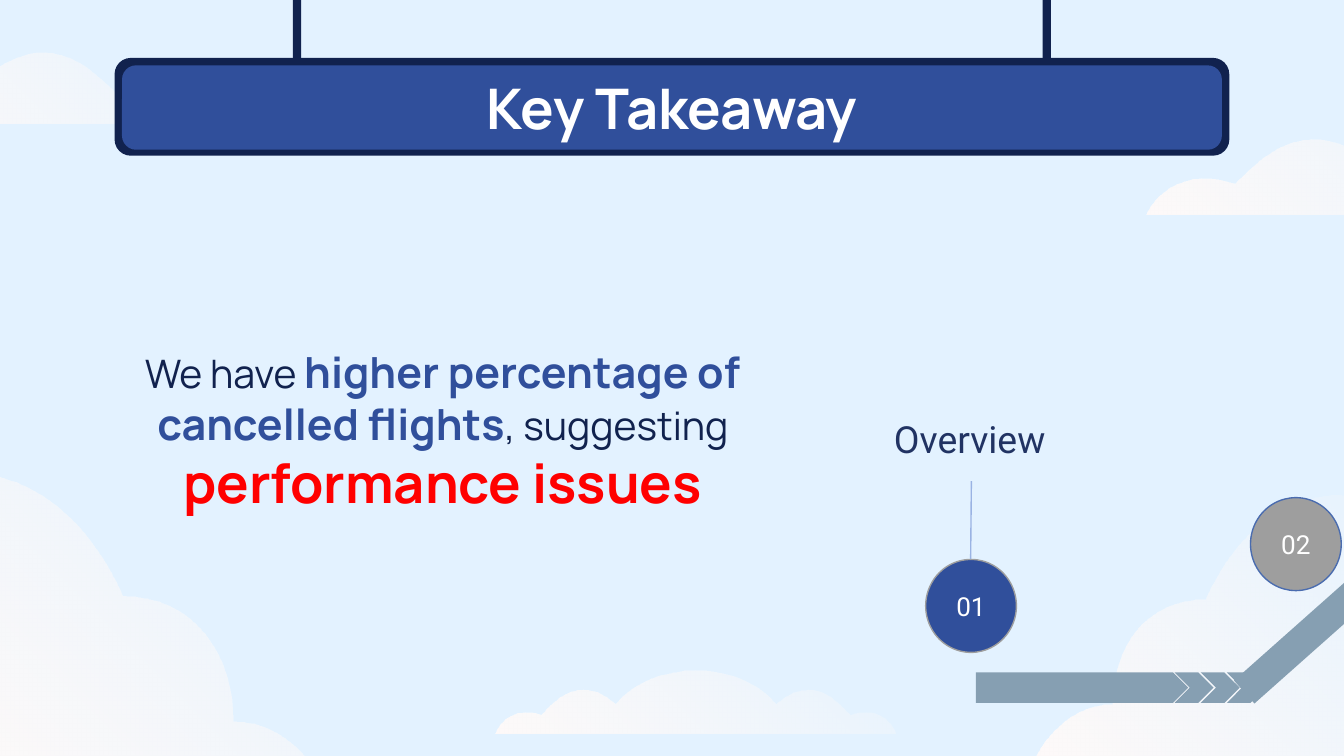
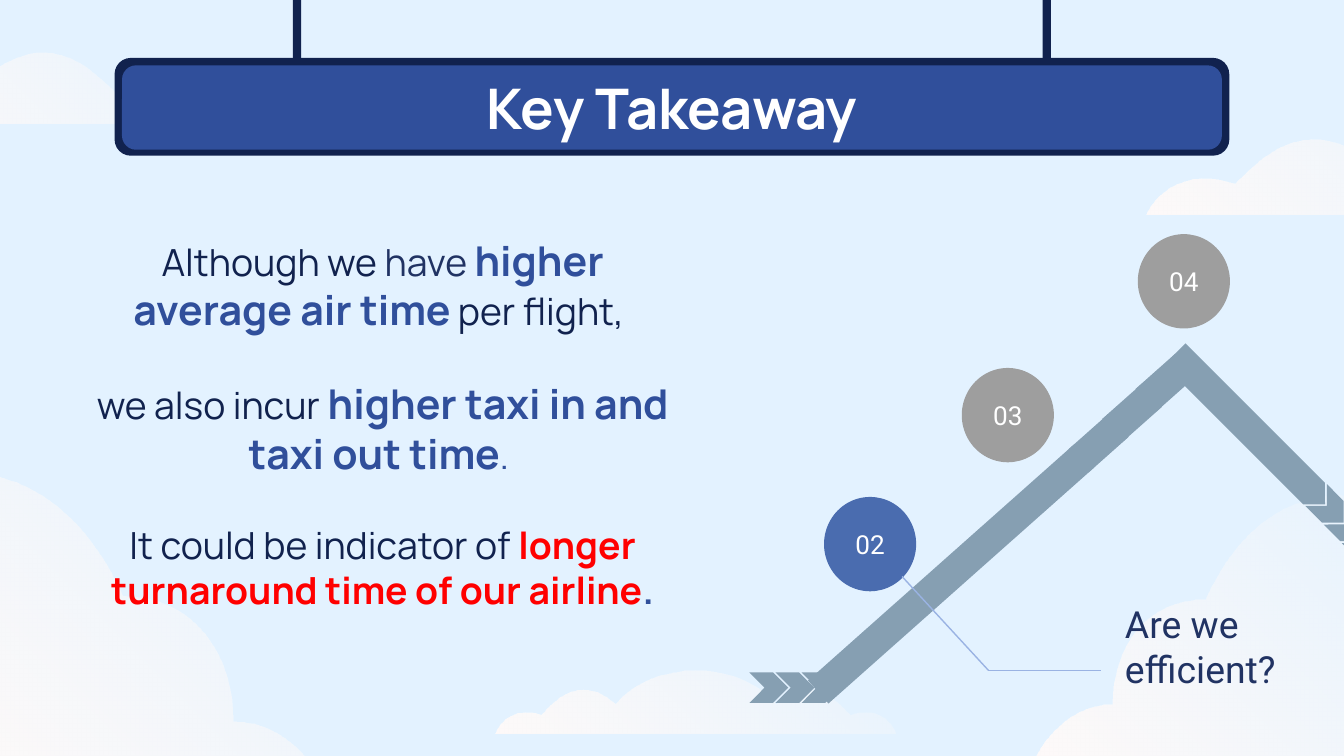
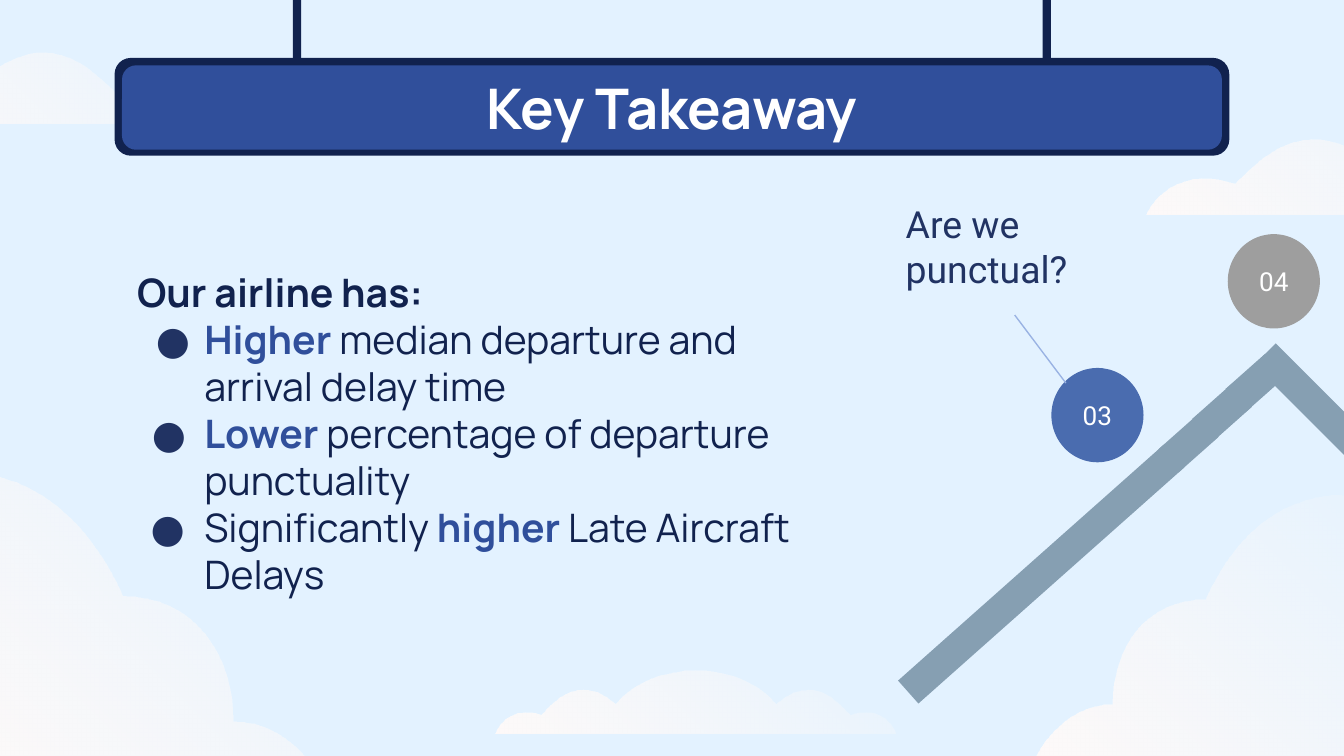
from dataclasses import dataclass

import lxml.etree
import pptx
import pptx.dml.color
import pptx.enum.shapes
import pptx.enum.text
import pptx.oxml.ns
import pptx.util

Pt = pptx.util.Pt
qn = pptx.oxml.ns.qn
SHAPES = pptx.enum.shapes.MSO_SHAPE
ALIGN = pptx.enum.text.PP_ALIGN
ANCHOR = pptx.enum.text.MSO_ANCHOR


@dataclass(frozen=True)
class Theme:
    sky: str = "E3F2FF"
    cloud: str = "FEFAF9"
    navy: str = "11224E"
    indigo: str = "213363"
    blue: str = "304F9B"
    active: str = "4A6CAF"
    pending: str = "9E9E9E"
    road: str = "869FB2"
    leader: str = "9AB3E3"
    alert: str = "FF0000"
    white: str = "FFFFFF"
    heading_font: str = "Manrope"
    label_font: str = "Roboto"
    title_size: float = 30
    label_size: float = 20
    number_size: float = 14
    inset: float = 7.2
    hairline: float = 0.75
    road_width: float = 16.4


THEME = Theme()

CLOUDS = [
    [(372.5, 359.3),
     (356.4, 359.3, 339.8, 365, 329.8, 377.3),
     (323.3, 371.5, 317.5, 369.4, 312.5, 369.4),
     (303.1, 369.4, 296.6, 375.8, 290.2, 383),
     (287.3, 381.6, 284.4, 381.6, 281.5, 381.6),
     (269.3, 381.6, 265.7, 393.1, 265.7, 393.1),
     (479.5, 393.1),
     (479.5, 393.1, 475.9, 381.6, 463.7, 381.6),
     (460.8, 381.6, 457.9, 381.6, 455, 383),
     (448.6, 375.8, 441.4, 369.4, 432.7, 369.4),
     (427.7, 369.4, 421.9, 371.5, 415.4, 377.3),
     (405.4, 365, 388.8, 359.3, 372.5, 359.3)],
    [(-23, 253.4),
     (-23, 253.4, 31.7, 244.8, 65.5, 319),
     (103.7, 319, 124.6, 350.6, 124.6, 385.9),
     (157.7, 385.9, 172.1, 419, 172.1, 419),
     (-23, 419)],
    [(720, 265.7),
     (720, 265.7, 673.9, 258.5, 645.6, 320.9),
     (613.4, 320.9, 596, 347, 596, 377.3),
     (568.1, 377.3, 555.1, 405, 555.1, 405),
     (720, 405),
     (720, 265.7)],
    [(820.1, 53.3),
     (820.1, 53.3, 781.9, 42.5, 736.6, 87.8),
     (702, 61.2, 680.4, 79.2, 661.7, 98),
     (625, 86.4, 614.2, 114.8, 614.2, 114.8),
     (820.1, 114.8)],
    [(-87.8, 7.9),
     (-87.8, 7.9, -51.1, -2.2, -7.9, 41),
     (24.5, 15.8, 44.6, 32.4, 62.6, 50.4),
     (97.2, 39.6, 108, 66.2, 108, 66.2),
     (-87.8, 66.2)],
]


def rgb(code):
    return pptx.dml.color.RGBColor.from_string(code)


def write(frame, lines, *, size, color, font, bold=False, align=ALIGN.LEFT,
          anchor=ANCHOR.TOP, gap=0):
    frame.word_wrap = True
    frame.vertical_anchor = anchor
    frame.margin_left = frame.margin_right = Pt(THEME.inset)
    frame.margin_top = frame.margin_bottom = Pt(THEME.inset)
    for index, line in enumerate(lines):
        paragraph = frame.paragraphs[0] if index == 0 else frame.add_paragraph()
        paragraph.alignment = align
        if index and gap:
            paragraph.space_before = Pt(gap)
        for part in [line] if isinstance(line, str) else line:
            text, changes = (part, {}) if isinstance(part, str) else part
            run = paragraph.add_run()
            run.text = text
            run.font.name = font
            run.font.size = Pt(changes.get("size", size))
            run.font.bold = changes.get("bold", bold)
            run.font.color.rgb = rgb(changes.get("color", color))


def add_text(slide, left, top, width, height, lines, **text_format):
    box = slide.shapes.add_textbox(Pt(left), Pt(top), Pt(width), Pt(height))
    write(box.text_frame, lines, **text_format)
    return box.text_frame


def add_bullet(paragraph, hang):
    properties = paragraph._p.get_or_add_pPr()
    properties.set("marL", str(Pt(36)))
    properties.set("indent", str(-Pt(hang)))
    tint = lxml.etree.SubElement(properties, qn("a:buClr"))
    lxml.etree.SubElement(tint, qn("a:srgbClr")).set("val", THEME.indigo)
    face = lxml.etree.SubElement(properties, qn("a:buFont"))
    face.set("typeface", THEME.heading_font)
    lxml.etree.SubElement(properties, qn("a:buChar")).set("char", "●")


def add_block(slide, kind, left, top, width, height, color, outline=None, rotation=0):
    block = slide.shapes.add_shape(kind, Pt(left), Pt(top), Pt(width), Pt(height))
    block.shadow.inherit = False
    block.rotation = rotation
    block.fill.solid()
    block.fill.fore_color.rgb = rgb(color)
    if outline:
        block.line.color.rgb = rgb(outline)
        block.line.width = Pt(THEME.hairline)
    else:
        block.line.fill.background()
    return block


def curve_segments(cloud, segments):
    corners = iter(cloud._element.spPr.findall(".//" + qn("a:lnTo")))
    for segment in segments:
        first, *others = [next(corners) for _ in range(len(segment) // 2)]
        if others:
            first.tag = qn("a:cubicBezTo")
            for corner in others:
                first.append(corner[0])
                corner.getparent().remove(corner)


def add_cloud(slide, outline):
    start, *segments = outline
    points = [(Pt(x), Pt(y)) for segment in segments
              for x, y in zip(segment[::2], segment[1::2])]
    builder = slide.shapes.build_freeform(Pt(start[0]), Pt(start[1]))
    builder.add_line_segments(points, close=True)
    cloud = builder.convert_to_shape()
    curve_segments(cloud, segments)
    cloud.shadow.inherit = False
    cloud.line.fill.background()
    cloud.fill.gradient()
    cloud.fill.gradient_angle = 225
    for stop in cloud.fill.gradient_stops:
        stop.color.rgb = rgb(THEME.cloud)
    faint_end = cloud._element.spPr.find(".//" + qn("a:srgbClr"))
    lxml.etree.SubElement(faint_end, qn("a:alpha")).set("val", "19000")


def add_sign(slide, title):
    rounded = SHAPES.ROUNDED_RECTANGLE
    add_block(slide, rounded, 61.4, 31, 597.2, 52.4, THEME.navy)
    add_block(slide, rounded, 65.4, 35, 589.2, 45.2, THEME.blue)
    for hanger_left in (558.6, 156.9):
        add_block(slide, rounded, hanger_left, -19.4, 4.4, 52.4, THEME.navy)
    add_text(slide, 42.5, 34.9, 635, 45.4, [title], size=THEME.title_size,
             color=THEME.white, font=THEME.heading_font, bold=True,
             align=ALIGN.CENTER, anchor=ANCHOR.MIDDLE)


def add_takeaway_slide(deck):
    slide = deck.slides.add_slide(deck.slide_layouts[6])
    slide.background.fill.solid()
    slide.background.fill.fore_color.rgb = rgb(THEME.sky)
    for outline in CLOUDS:
        add_cloud(slide, outline)
    add_sign(slide, "Key Takeaway")
    return slide


def add_plate(slide, left, top, width, rotation=0):
    add_block(slide, SHAPES.PENTAGON, left, top, width, THEME.road_width, THEME.road,
              rotation=rotation)


def add_chevrons(slide, left, top, step_x, step_y=0, width=20.9, rotation=0):
    for index in range(3):
        add_block(slide, SHAPES.CHEVRON, left + index * step_x, top + index * step_y,
                  width, THEME.road_width, THEME.road, rotation=rotation)


def add_climb(slide, left, reaches_peak=True):
    add_plate(slide, left, 296.6, 198.7, 318.4)
    if reaches_peak:
        add_chevrons(slide, left + 159.8, 226.6, 18, -16.2, 36.7, 318.4)


def add_descent(slide, left):
    add_plate(slide, left, 221.8, 113.8, 45)


def add_stop(slide, number, left, top, color, outline=None):
    stop = add_block(slide, SHAPES.OVAL, left, top, 48.6, 49.8, color, outline or color)
    write(stop.text_frame, [number], size=THEME.number_size, color=THEME.white,
          font=THEME.label_font, align=ALIGN.CENTER, anchor=ANCHOR.MIDDLE)


def add_leader(slide, *points):
    for (x1, y1), (x2, y2) in zip(points, points[1:]):
        leader = slide.shapes.add_connector(
            pptx.enum.shapes.MSO_CONNECTOR.STRAIGHT, Pt(x1), Pt(y1), Pt(x2), Pt(y2))
        leader.line.color.rgb = rgb(THEME.leader)
        leader.line.width = Pt(THEME.hairline)
        lxml.etree.SubElement(leader._element.spPr, qn("a:effectLst"))


def add_label(slide, left, top, width, height, *lines):
    frame = add_text(slide, left, top, width, height, lines, size=THEME.label_size,
                     color=THEME.indigo, font=THEME.label_font)
    frame.auto_size = pptx.enum.text.MSO_AUTO_SIZE.SHAPE_TO_FIT_TEXT


def add_body(slide, left, top, width, height, lines, size, **text_format):
    return add_text(slide, left, top, width, height, lines, size=size,
                    color=THEME.navy, font=THEME.heading_font,
                    anchor=ANCHOR.MIDDLE, **text_format)


def strong(text, **changes):
    return text, {"color": THEME.blue, "bold": True, **changes}


def build_overview(deck):
    slide = add_takeaway_slide(deck)
    add_body(slide, 57.6, 111.6, 359.3, 237.6, [[
        "We have ",
        strong("higher percentage of cancelled flights", size=23),
        ", suggesting ",
        strong("performance issues", size=29, color=THEME.alert),
    ]], 21, align=ALIGN.CENTER)
    add_climb(slide, 641.5, reaches_peak=False)
    add_stop(slide, "01", 495.9, 299.7, THEME.blue, THEME.pending)
    add_stop(slide, "02", 669.9, 266.6, THEME.pending, THEME.active)
    add_leader(slide, (520, 299.5), (520.4, 257.8))
    add_label(slide, 471.8, 215.7, 164.9, 38.9, "Overview")
    add_plate(slide, 522.8, 360.2, 113.8)
    add_chevrons(slide, 629.2, 360.2, 14)


def build_efficiency(deck):
    slide = add_takeaway_slide(deck)
    add_body(slide, 43, 108.2, 324, 237.6, [
        ["Although we ", ("have ", {"color": THEME.indigo}),
         strong("higher average air time", size=22), " per flight, "],
        ["we also incur ", strong("higher taxi in and taxi out time", size=22),
         (". ", {"color": THEME.blue})],
        ["It could be indicator of ",
         strong("longer turnaround time of our airline", color=THEME.alert),
         strong(".")],
    ], 20, align=ALIGN.CENTER, gap=24)
    add_climb(slide, 413.3)
    add_stop(slide, "02", 441.8, 266.6, THEME.active)
    add_stop(slide, "03", 515.6, 197.5, THEME.pending)
    add_leader(slide, (483.3, 308.9), (529.5, 359.1), (589.8, 359.1))
    add_chevrons(slide, 401.4, 360.2, 14)
    add_label(slide, 595.6, 315, 141.8, 63.4, "Are we efficient?")
    add_descent(slide, 612.7)
    add_chevrons(slide, 702, 264.4, 9.8, 10, rotation=45)
    add_stop(slide, "04", 609.9, 125.8, THEME.pending)


def build_punctuality(deck):
    slide = add_takeaway_slide(deck)
    body = add_body(slide, 66.4, 86.9, 369.4, 290.2, [
        [("Our airline has:", {"bold": True})],
        [strong("Higher"), " median departure and arrival delay time"],
        [strong("Lower"), " percentage of departure punctuality"],
        ["Significantly ", strong("higher"), " Late Aircraft Delays"],
    ], 21)
    for paragraph, hang in zip(body.paragraphs[1:], (25.9, 28.1, 28.8)):
        add_bullet(paragraph, hang)
    add_climb(slide, 461.5)
    add_descent(slide, 661)
    add_stop(slide, "03", 563.6, 197.5, THEME.active)
    add_stop(slide, "04", 658.1, 125.8, THEME.pending)
    add_leader(slide, (571, 205.2), (543.6, 168.8))
    add_label(slide, 478.1, 100.8, 121.7, 63.4, "Are we", "punctual?")


def main():
    deck = pptx.Presentation()
    deck.slide_width = Pt(720)
    deck.slide_height = Pt(405)
    build_overview(deck)
    build_efficiency(deck)
    build_punctuality(deck)
    deck.save("out.pptx")


if __name__ == "__main__":
    main()
